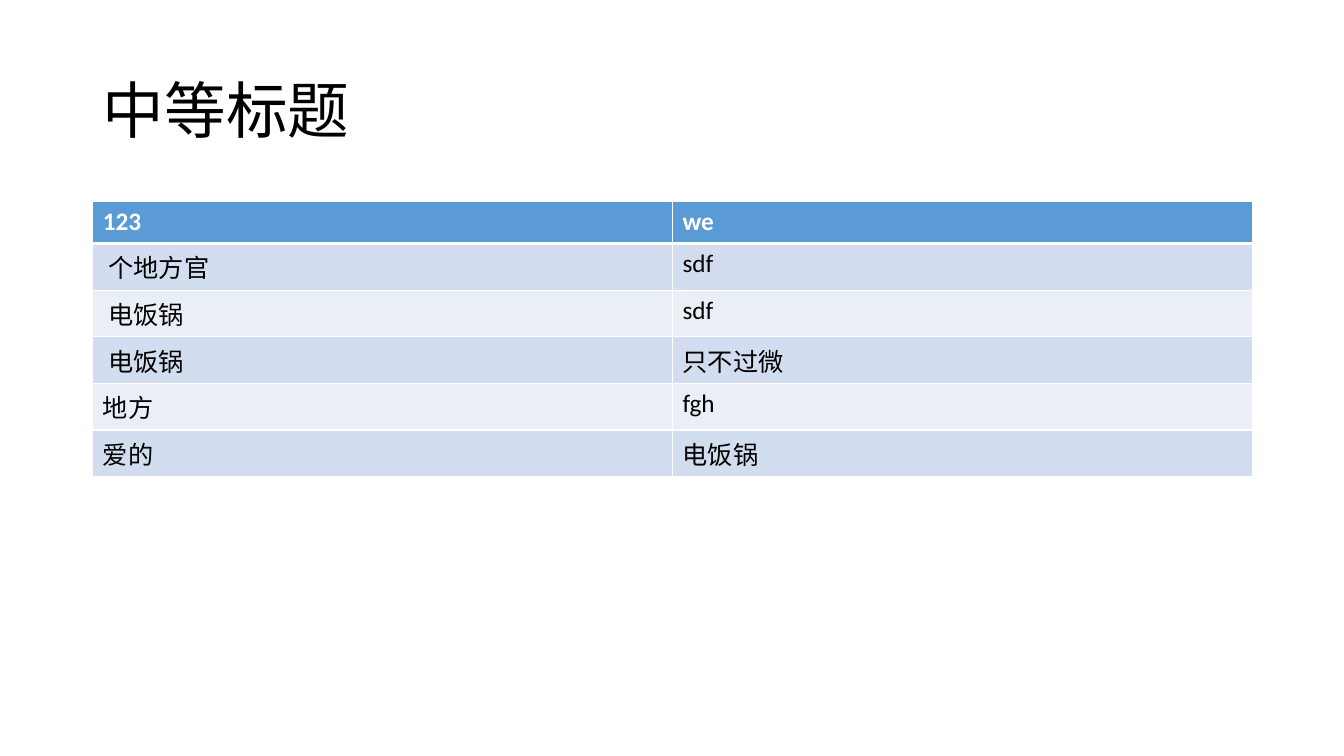
from dataclasses import dataclass

from lxml import etree
from pptx import Presentation
from pptx import util as u
from pptx.dml import color
from pptx.enum import text
from pptx.oxml import ns


@dataclass(frozen=True)
class Theme:
    font: str = "Calibri"
    title_size: int = 44
    cell_size: int = 18
    ink: str = "000000"
    paper: str = "FFFFFF"
    header: str = "5B9BD5"
    bands: tuple[str, str] = ("D2DEEF", "EAEFF7")
    rule: int = 1
    header_rule: int = 3


@dataclass(frozen=True)
class Box:
    left: float
    top: float
    width: float
    height: float

    def lengths(self) -> tuple[u.Length, ...]:
        return tuple(map(u.Inches, (self.left, self.top, self.width, self.height)))


THEME = Theme()
HEADING_BOX = Box(0.92, 0.4, 11.5, 1.45)
GRID_BOX = Box(0.92, 2, 11.5, 2.5)
ENTRIES = [
    ("123", "we"),
    (" 个地方官", "sdf"),
    (" 电饭锅", "sdf"),
    (" 电饭锅", "只不过微"),
    ("地方", "fgh"),
    ("爱的", "电饭锅"),
]


def style_paragraph(paragraph, size: int, ink: str, bold: bool = False) -> None:
    paragraph.font.name = THEME.font
    paragraph.font.size = u.Pt(size)
    paragraph.font.bold = bold
    paragraph.font.color.rgb = color.RGBColor.from_string(ink)


def add_heading(slide, wording: str, box: Box) -> None:
    heading = slide.shapes.title
    heading.left, heading.top, heading.width, heading.height = box.lengths()
    heading.text_frame.text = wording
    heading.text_frame.vertical_anchor = text.MSO_ANCHOR.MIDDLE
    line = heading.text_frame.paragraphs[0]
    line.alignment = text.PP_ALIGN.LEFT
    line.line_spacing = 0.9
    style_paragraph(line, THEME.title_size, THEME.ink)


def add_borders(cell, row: int) -> None:
    properties = cell._tc.get_or_add_tcPr()
    widths = {
        "a:lnL": THEME.rule,
        "a:lnR": THEME.rule,
        "a:lnT": THEME.header_rule if row == 1 else THEME.rule,
        "a:lnB": THEME.header_rule if row == 0 else THEME.rule,
    }
    for side, width in widths.items():
        border = etree.SubElement(properties, ns.qn(side), w=str(u.Pt(width)))
        fill = etree.SubElement(border, ns.qn("a:solidFill"))
        etree.SubElement(fill, ns.qn("a:srgbClr"), val=THEME.paper)


def add_grid(slide, entries: list[tuple[str, ...]], box: Box) -> None:
    grid = slide.shapes.add_table(len(entries), len(entries[0]), *box.lengths()).table
    for row, entry in enumerate(entries):
        is_header = row == 0
        fill = THEME.header if is_header else THEME.bands[(row - 1) % 2]
        ink = THEME.paper if is_header else THEME.ink
        for column, wording in enumerate(entry):
            cell = grid.cell(row, column)
            cell.text = wording
            style_paragraph(cell.text_frame.paragraphs[0], THEME.cell_size, ink, is_header)
            add_borders(cell, row)
            cell.fill.solid()
            cell.fill.fore_color.rgb = color.RGBColor.from_string(fill)


def main() -> None:
    deck = Presentation()
    deck.slide_width, deck.slide_height = u.Inches(13.33), u.Inches(7.5)
    slide = deck.slides.add_slide(deck.slide_layouts.get_by_name("Title Only"))
    add_heading(slide, "中等标题", HEADING_BOX)
    add_grid(slide, ENTRIES, GRID_BOX)
    deck.save("out.pptx")


if __name__ == "__main__":
    main()
